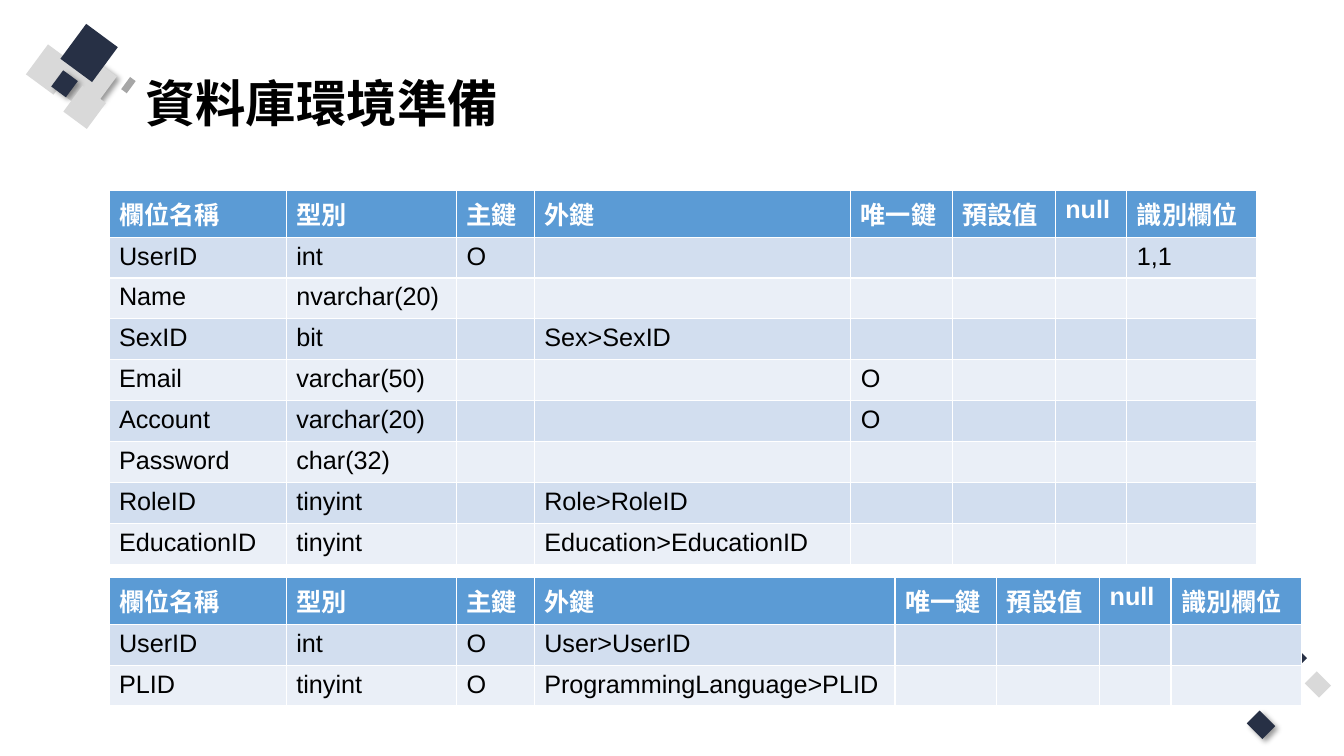
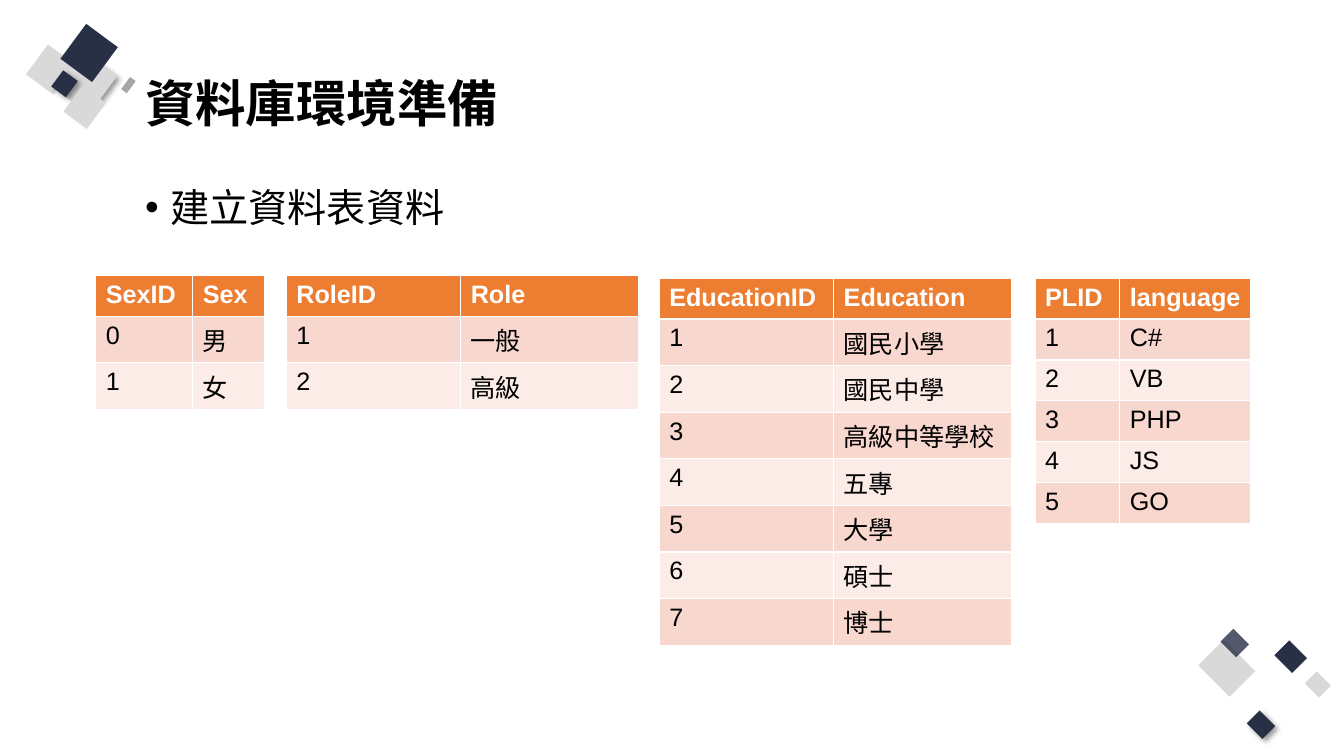
"""Build two slides that list database tables and their starting data."""
from lxml.etree import SubElement
from pptx import Presentation
from pptx.dml.color import RGBColor
from pptx.enum.shapes import MSO_SHAPE
from pptx.enum.text import MSO_ANCHOR, MSO_AUTO_SIZE, PP_ALIGN
from pptx.oxml.ns import qn
from pptx.util import Pt

FONT = "Arial"
NAVY, SILVER, GRAY = "273045", "D9D9D9", "A6A6A6"
BLACK, WHITE = "000000", "FFFFFF"
BLUE_THEME = ("5B9BD5", "D2DEEF", "EAEFF7")
ORANGE_THEME = ("ED7D31", "F8D7CE", "FCECE8")
ROW_HEIGHT = 29.2
TITLE = "資料庫環境準備"
BULLET = "建立資料表資料"
TITLE_FRAME = (96.5, 28.8, 759.6, 93.6)
BODY_FRAME = (96.5, 131, 759.6, 355)

# left, top, width, height, rotation, colour, shadow, opacity
SQUARES = [
    (86.4, 58.3, 10.8, 5, 306.4, GRAY, False, 100),
    (23, 37.4, 26.6, 24.5, 306.4, SILVER, False, 100),
    (57.6, 47.5, 22.3, 20.2, 306.4, SILVER, True, 100),
    (49.7, 43.9, 13.7, 12.2, 306.4, SILVER, False, 100),
    (40.3, 47.5, 23.8, 21.6, 306.4, SILVER, False, 100),
    (38.9, 53.3, 14.4, 13, 306.4, NAVY, True, 100),
    (48.2, 23.8, 31, 28.1, 306.4, NAVY, False, 100),
    (49, 66.2, 23, 20.9, 306.4, SILVER, False, 100),
    (914.4, 460.1, 15.1, 18, 315, NAVY, False, 100),
    (935.3, 481.7, 12.2, 14.4, 315, SILVER, False, 100),
    (863.3, 461.5, 25.9, 31.7, 135, SILVER, False, 100),
    (894.2, 509.8, 13, 15.8, 135, NAVY, True, 100),
    (875.5, 451.4, 13, 15.8, 135, NAVY, False, 80),
]

FIELD_HEADER = ("欄位名稱", "型別", "主鍵", "外鍵", "唯一鍵", "預設值", "null", "識別欄位")
USER_FIELDS = [
    FIELD_HEADER,
    ("UserID", "int", "O", "", "", "", "", "1,1"),
    ("Name", "nvarchar(20)"),
    ("SexID", "bit", "", "Sex>SexID"),
    ("Email", "varchar(50)", "", "", "O"),
    ("Account", "varchar(20)", "", "", "O"),
    ("Password", "char(32)"),
    ("RoleID", "tinyint", "", "Role>RoleID"),
    ("EducationID", "tinyint", "", "Education>EducationID"),
]
USER_LANGUAGE_FIELDS = [
    FIELD_HEADER,
    ("UserID", "int", "O", "User>UserID"),
    ("PLID", "tinyint", "O", "ProgrammingLanguage>PLID"),
]
SEXES = [("SexID", "Sex"), ("0", "男"), ("1", "女")]
ROLES = [("RoleID", "Role"), ("1", "一般"), ("2", "高級")]
EDUCATIONS = [
    ("EducationID", "Education"), ("1", "國民小學"), ("2", "國民中學"),
    ("3", "高級中等學校"), ("4", "五專"), ("5", "大學"), ("6", "碩士"), ("7", "博士"),
]
LANGUAGES = [
    ("PLID", "language"), ("1", "C#"), ("2", "VB"), ("3", "PHP"), ("4", "JS"), ("5", "GO"),
]


def field_widths(foreign_key_width):
    return (126.7, 121.7, 55.4, foreign_key_width, 72.7, 73.4, 51.1, 92.9)


# left, top, column widths, rows
FIELD_TABLES = [
    (77.8, 136.1, field_widths(226.1), USER_FIELDS),
    (77.8, 412.6, field_widths(257.8), USER_LANGUAGE_FIELDS),
]
DATA_TABLES = [
    (68.4, 196.6, (69.3, 51.4), SEXES),
    (204.5, 196.6, (124.6, 127.1), ROLES),
    (470.9, 198.7, (124.6, 127.1), EDUCATIONS),
    (739.4, 198.7, (60.5, 93.6), LANGUAGES),
]


def color(value):
    return RGBColor.from_string(value)


def format_runs(paragraph, size, value, bold=False):
    for run in paragraph.runs:
        run.font.name = FONT
        run.font.size = Pt(size)
        run.font.bold = bold
        run.font.color.rgb = color(value)


def fill_placeholder(shape, text, size, bold=False):
    frame = shape.text_frame
    frame.text = text
    frame.auto_size = MSO_AUTO_SIZE.NONE
    paragraph = frame.paragraphs[0]
    paragraph.alignment = PP_ALIGN.LEFT
    paragraph.line_spacing = 0.9
    format_runs(paragraph, size, BLACK, bold)
    return paragraph


def add_shadow(shape):
    effects = shape.element.spPr.find(qn("a:effectLst"))
    shadow = SubElement(effects, qn("a:outerShdw"), blurRad=str(Pt(4)), dist=str(Pt(3)),
                        dir="2700000", algn="tl", rotWithShape="0")
    shade = SubElement(shadow, qn("a:srgbClr"), val=BLACK)
    SubElement(shade, qn("a:alpha"), val="40000")


def add_squares(slide, master):
    for number, square in enumerate(SQUARES, start=100):
        *frame, rotation, value, has_shadow, opacity = square
        shape = slide.shapes.add_shape(MSO_SHAPE.RECTANGLE, *map(Pt, frame))
        shape.name = f"Square {number}"
        shape.rotation = rotation
        shape.fill.solid()
        shape.fill.fore_color.rgb = color(value)
        shape.line.fill.background()
        shape.shadow.inherit = False
        if has_shadow:
            add_shadow(shape)
        if opacity < 100:
            paint = shape.element.spPr.find(qn("a:solidFill"))[0]
            SubElement(paint, qn("a:alpha"), val=str(opacity * 1000))
        shape.element.nvSpPr.cNvPr.set("id", str(number))
        master.shapes.element.append(shape.element)


def add_data_table(slide, theme, left, top, widths, rows):
    header_fill, *band_fills = theme
    table = slide.shapes.add_table(len(rows), len(widths), Pt(left), Pt(top),
                                   Pt(sum(widths)), Pt(ROW_HEIGHT * len(rows))).table
    for column, width in zip(table.columns, widths):
        column.width = Pt(width)
    for row_number, texts in enumerate(rows):
        is_header = row_number == 0
        table.rows[row_number].height = Pt(ROW_HEIGHT)
        for column_number in range(len(widths)):
            cell = table.cell(row_number, column_number)
            cell.fill.solid()
            cell.fill.fore_color.rgb = color(
                header_fill if is_header else band_fills[(row_number - 1) % 2])
            if column_number < len(texts) and texts[column_number]:
                cell.text_frame.text = texts[column_number]
                format_runs(cell.text_frame.paragraphs[0], 18,
                            WHITE if is_header else BLACK, is_header)


def add_slide(presentation, layout_number, theme, tables):
    slide = presentation.slides.add_slide(presentation.slide_layouts[layout_number])
    fill_placeholder(slide.shapes.title, TITLE, 36, bold=True)
    slide.shapes.title.text_frame.vertical_anchor = MSO_ANCHOR.MIDDLE
    for table in tables:
        add_data_table(slide, theme, *table)
    return slide


def main():
    presentation = Presentation()
    presentation.slide_width, presentation.slide_height = Pt(960), Pt(540)
    master = presentation.slide_master
    for placeholder, frame in zip(master.placeholders, (TITLE_FRAME, BODY_FRAME)):
        placeholder.left, placeholder.top, placeholder.width, placeholder.height = map(Pt, frame)

    field_slide = add_slide(presentation, 5, BLUE_THEME, FIELD_TABLES)
    add_squares(field_slide, master)

    data_slide = add_slide(presentation, 1, ORANGE_THEME, DATA_TABLES)
    paragraph = fill_placeholder(data_slide.placeholders[1], BULLET, 28)
    paragraph.space_before = Pt(10)
    properties = paragraph.runs[0].font and paragraph._p.get_or_add_pPr()
    properties.set("marL", str(Pt(18)))
    properties.set("indent", str(-Pt(18)))

    presentation.save("out.pptx")


if __name__ == "__main__":
    main()
